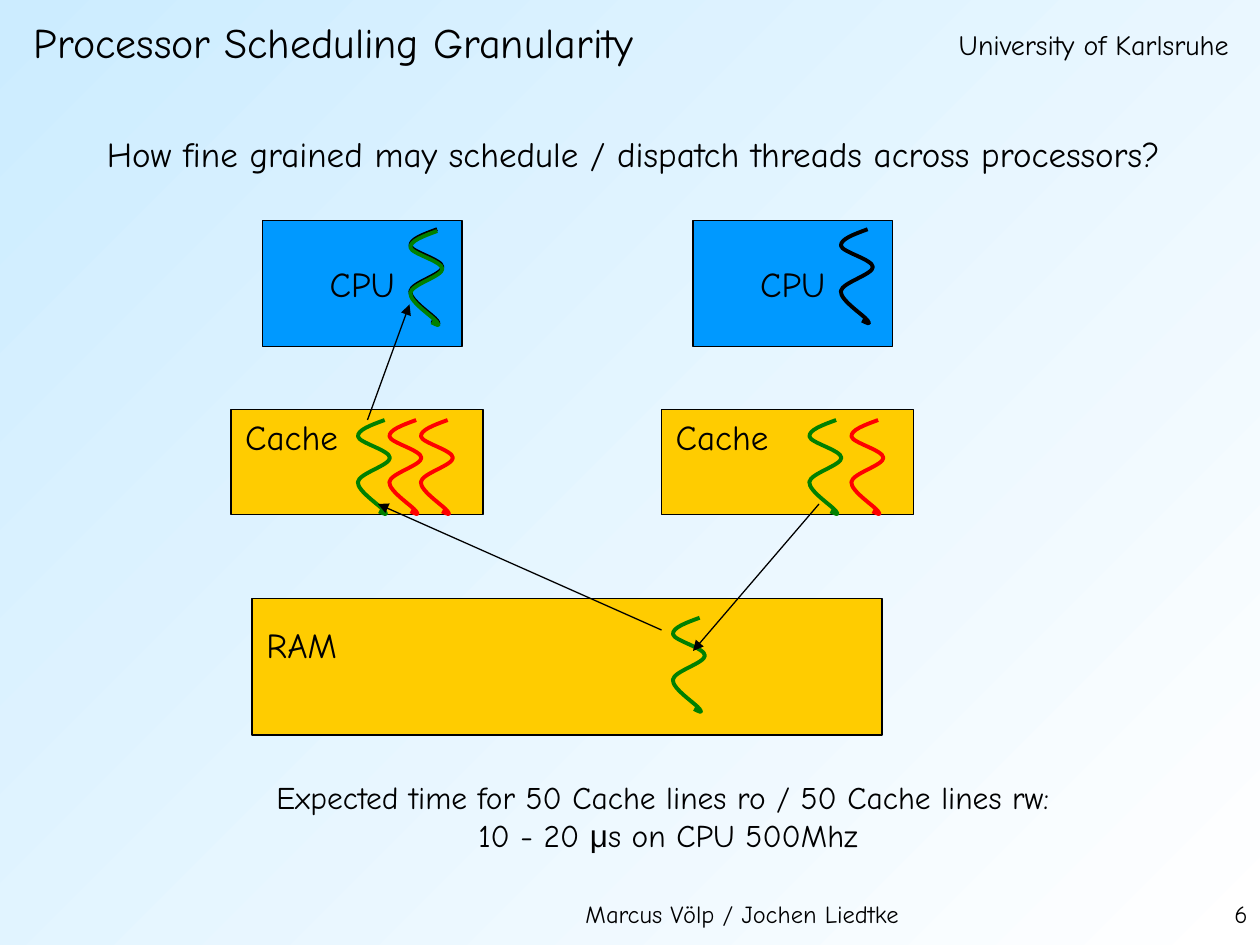
from lxml import etree
from pptx import Presentation
from pptx import util as u
from pptx.dml.color import RGBColor
from pptx.enum import shapes, text
from pptx.oxml import ns

FONT = "Comic Neue"
BLACK = RGBColor(0x00, 0x00, 0x00)
WHITE = RGBColor(0xFF, 0xFF, 0xFF)
SKY = RGBColor(0xCC, 0xEC, 0xFF)
BLUE = RGBColor(0x00, 0x99, 0xFF)
YELLOW = RGBColor(0xFF, 0xCC, 0x00)
RED = RGBColor(0xFF, 0x00, 0x00)
GREEN = RGBColor(0x00, 0x80, 0x00)

PROCESSOR_SHIFT = 246  # from the first processor to the second
THREAD_TOP = 240  # threads in the caches

# A thread's wavy outline: start, then Bezier segments (two controls and an end)
THREAD_START = (15.8, 0)
THREAD_CURVES = [
    (7.9, 2.9), (0, 5.8), (0.6, 9.5),
    (1.1, 13), (18.8, 17.3), (18.8, 21.6),
    (18.8, 25.9), (1.1, 30.5), (0.5, 35.4),
    (0, 40.6), (13.8, 49.2), (15.8, 52.2),
    (17.9, 54.9), (15.3, 53.5), (12.6, 52.2),
]


def points(*values):
    return [u.Pt(value) for value in values]


def format_text(shape, size, alignment=text.PP_ALIGN.LEFT):
    for paragraph in shape.text_frame.paragraphs:
        paragraph.alignment = alignment
        for run in paragraph.runs:
            run.font.name = FONT
            run.font.size = u.Pt(size)
            run.font.color.rgb = BLACK


def set_background(slide):
    fill = slide.background.fill
    fill.gradient()
    fill.gradient_angle = 135
    for stop, color in zip(fill.gradient_stops, (WHITE, SKY)):
        stop.color.rgb = color


def set_title(slide, content):
    title = slide.shapes.title
    title.left, title.top, title.width, title.height = points(12, 6, 450, 36)
    title.text_frame.text = content
    title.text_frame.auto_size = text.MSO_AUTO_SIZE.NONE
    title.text_frame.vertical_anchor = text.MSO_ANCHOR.MIDDLE
    format_text(title, 24)


def add_label(slide, content, box, size, alignment=text.PP_ALIGN.LEFT):
    label = slide.shapes.add_textbox(*points(*box))
    label.text_frame.word_wrap = False
    label.text_frame.text = content
    format_text(label, size, alignment)
    return label


def add_block(slide, box, color, content=""):
    block = slide.shapes.add_shape(shapes.MSO_SHAPE.RECTANGLE, *points(*box))
    block.shadow.inherit = False
    block.fill.solid()
    block.fill.fore_color.rgb = color
    block.line.color.rgb = BLACK
    block.line.width = u.Pt(0.75)
    if content:
        block.text_frame.text = content
        block.text_frame.word_wrap = False
        block.text_frame.vertical_anchor = text.MSO_ANCHOR.MIDDLE
        format_text(block, 20, text.PP_ALIGN.CENTER)


def curve_outline(freeform):
    """Join each three line segments into one Bezier segment."""
    outline = next(freeform._element.iter(ns.qn("a:path")))
    segments = outline.findall(ns.qn("a:lnTo"))
    for first in range(0, len(segments), 3):
        curve = etree.SubElement(outline, ns.qn("a:cubicBezTo"))
        for segment in segments[first:first + 3]:
            curve.append(segment[0])
            outline.remove(segment)


def add_thread(slide, left, top, color):
    builder = slide.shapes.build_freeform(*points(*THREAD_START))
    builder.add_line_segments(
        [points(*vertex) for vertex in THREAD_CURVES], close=False)
    thread = builder.convert_to_shape(*points(left, top))
    curve_outline(thread)
    thread.shadow.inherit = False
    thread.fill.background()
    thread.line.color.rgb = color
    thread.line.width = u.Pt(2.25)


def add_arrow(slide, start, end):
    arrow = slide.shapes.add_connector(
        shapes.MSO_CONNECTOR.STRAIGHT, *points(*start, *end))
    arrow.line.color.rgb = BLACK
    arrow.line.width = u.Pt(0.75)
    etree.SubElement(arrow.line._get_or_add_ln(), ns.qn("a:tailEnd"), type="triangle")
    etree.SubElement(arrow._element.spPr, ns.qn("a:effectLst"))


def main():
    presentation = Presentation()
    presentation.slide_width, presentation.slide_height = points(720, 540)
    slide = presentation.slides.add_slide(presentation.slide_layouts[5])
    set_background(slide)

    # Header, footer and question
    set_title(slide, "Processor Scheduling Granularity")
    add_label(slide, "University of Karlsruhe", (540.8, 12, 169, 27), 16)
    add_label(slide, "Marcus Völp / Jochen Liedtke", (327.5, 510, 199.5, 24.5), 14)
    add_label(slide, "6", (672, 510, 48, 30), 14, text.PP_ALIGN.RIGHT)
    add_label(
        slide, "How fine grained may schedule / dispatch threads across processors?",
        (54, 72, 618.5, 31.5), 20)

    # Memory, and two processors with their caches
    add_block(slide, (144, 342, 360, 78), YELLOW)
    add_label(slide, "RAM", (145.2, 353, 58, 31.5), 20)
    for shift in (0, PROCESSOR_SHIFT):
        add_block(slide, (150 + shift, 126, 114, 72), BLUE, "CPU")
        add_thread(slide, 234 + shift, 131, BLACK)
        add_block(slide, (132 + shift, 234, 144, 60), YELLOW)
        add_label(slide, "Cache", (133 + shift, 234, 68, 31.5), 20)

    # Other threads in the caches
    for left in (222, 240, 486):
        add_thread(slide, left, THREAD_TOP, RED)

    # The thread that moves between the processors
    for left, top in ((462, THREAD_TOP), (384, 353), (204, THREAD_TOP), (234, 132)):
        add_thread(slide, left, top, GREEN)

    # Its way from one cache through memory to the other processor
    add_arrow(slide, (468, 288), (396, 372))
    add_arrow(slide, (378, 360), (216, 288))
    add_arrow(slide, (210, 240), (234, 174))

    # Expected cost
    cost = add_label(
        slide, "Expected time for 50 Cache lines ro / 50 Cache lines rw: ",
        (150.3, 441.2, 463, 50.5), 18)
    result = cost.text_frame.add_paragraph()
    for part in ("10 - 20 ", "μ", "s on CPU 500Mhz"):
        result.add_run().text = part
    format_text(cost, 18, text.PP_ALIGN.CENTER)
    result.runs[1].font.name = "Arial"

    presentation.save("out.pptx")


if __name__ == "__main__":
    main()
